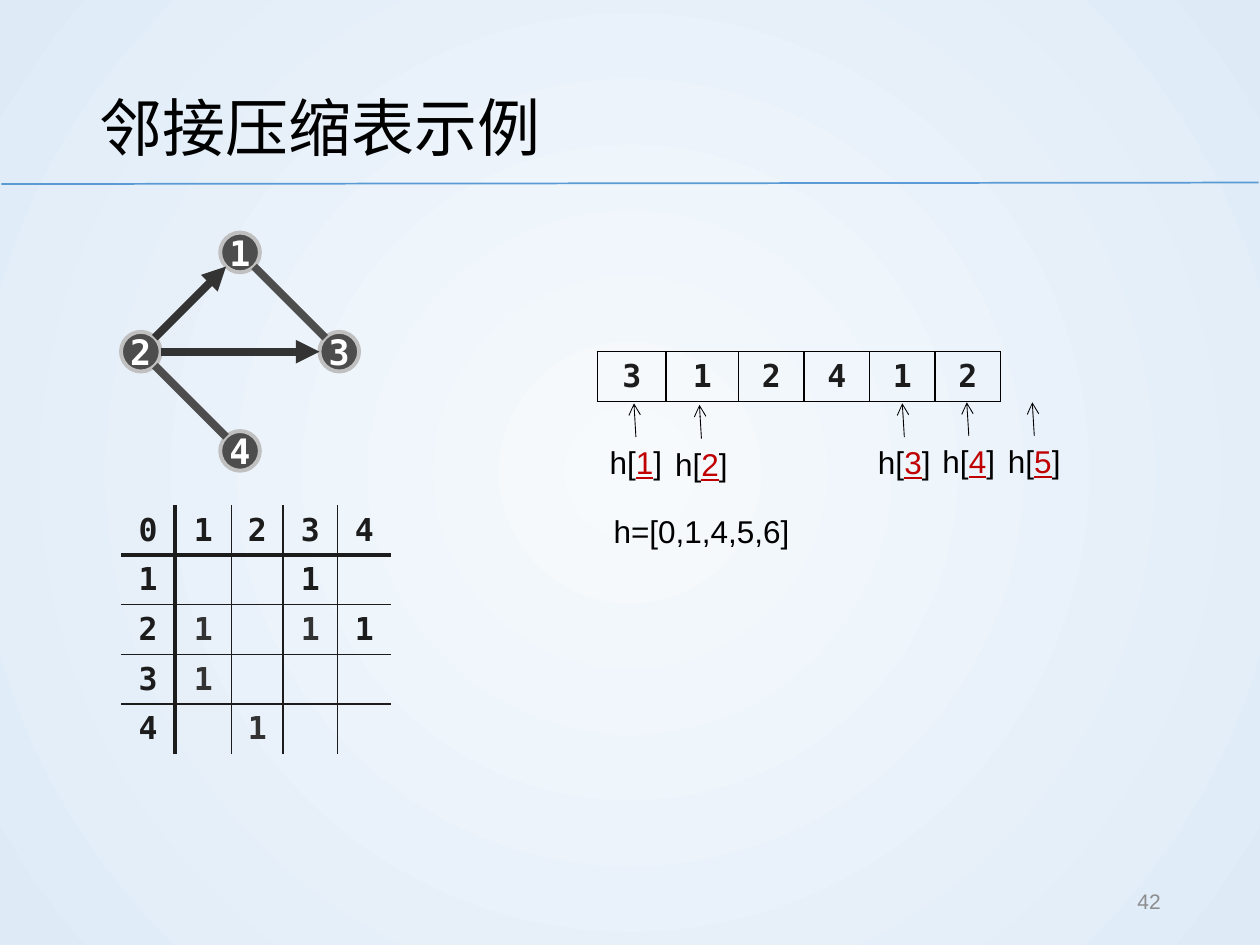
"""Build the slide that shows a graph, its adjacency matrix and its compressed list."""
from dataclasses import dataclass
from typing import Any, NamedTuple

from pptx import Presentation
from pptx import util as u
from pptx.dml.color import RGBColor
from pptx.enum import shapes, text
from pptx.oxml import ns, xmlchemy

BODY_FONT, MONO_FONT = "Arial", "DejaVu Sans Mono"
INK, BLACK, RED = "1C1C1C", "000000", "C00000"
NODE_SIZE, RADIUS = 0.8, 2.0
NO_GRID_STYLE = "{2D5ABB26-0587-4C30-8999-92F81FD0307C}"
MARGINS = ("margin_left", "margin_top", "margin_right", "margin_bottom")


class Point(NamedTuple):
    x: float
    y: float


@dataclass
class Edge:
    start: str
    end: str
    colour: str = "4D4D4D"
    arrow: str = ""


@dataclass
class Pointer:
    index: str
    left: float
    top: float


@dataclass
class Grid:
    left: float
    top: float
    columns: list[float]
    rows: list[str]
    colour: str
    framed: bool


CENTRE = Point(4.84, 7.09)
NODES = {
    "1": Point(CENTRE.x, CENTRE.y - RADIUS),
    "2": Point(CENTRE.x - RADIUS, CENTRE.y),
    "3": Point(CENTRE.x + RADIUS, CENTRE.y),
    "4": Point(CENTRE.x, CENTRE.y + RADIUS),
}
EDGES = [
    Edge("3", "1"),
    Edge("4", "2"),
    Edge("2", "3", "333333", "triangle"),
    Edge("2", "1", "333333", "triangle"),
]
MATRIX = Grid(2.44, 10.19, [1.09, 1.14, 1.04, 1.09, 1.09],
              ["01234", "1  1 ", "21 11", "31   ", "4 1  "], INK, False)
NEIGHBOURS = Grid(12.04, 7.09, [1.39, 1.46] + [1.32] * 4, ["312412"], BLACK, True)
GREY_CELLS = {(2, 1), (2, 3), (3, 1), (4, 2)}
POINTERS = [
    Pointer("1", 12.04, 8.81),
    Pointer("2", 13.36, 8.84),
    Pointer("3", 17.45, 8.81),
    Pointer("4", 18.75, 8.79),
    Pointer("5", 20.07, 8.79),
]


def rgb(value: str) -> RGBColor:
    """Turn a hex string into a colour."""
    return RGBColor.from_string(value)


def apply(target: Any, **formats: Any) -> None:
    """Set each format value on the target."""
    for name, value in formats.items():
        setattr(target, name, value)


def add_run(paragraph: Any, words: str, size: float, colour: str,
            font: str = BODY_FONT, **formats: Any) -> None:
    """Append formatted words to a paragraph."""
    run = paragraph.add_run()
    run.text = words
    apply(run.font, name=font, size=u.Pt(size), **formats)
    run.font.color.rgb = rgb(colour)


def add_element(parent: Any, tag: str, **attributes: str) -> Any:
    """Append a drawing element with attributes."""
    child = xmlchemy.OxmlElement(tag)
    for name, value in attributes.items():
        child.set(name, value)
    parent.append(child)
    return child


def add_line(canvas: Any, start: Point, end: Point, colour: str,
             width: float, arrow: str = "") -> None:
    """Draw a straight line, with an arrowhead at its end if one is named."""
    line = canvas.add_connector(shapes.MSO_CONNECTOR.STRAIGHT,
                                *(u.Cm(length) for length in (*start, *end)))
    line.line.color.rgb = rgb(colour)
    line.line.width = u.Pt(width)
    if arrow:
        add_element(line.line._get_or_add_ln(), "a:tailEnd", type=arrow)
    add_element(line._element.spPr, "a:effectLst")


def add_label(canvas: Any, left: float, top: float, width: float, **formats: Any) -> Any:
    """Add a text box one line high and return its paragraph."""
    frame = canvas.add_textbox(u.Cm(left), u.Cm(top), u.Cm(width), u.Cm(1.02)).text_frame
    apply(frame, **{"word_wrap": False, **formats})
    return frame.paragraphs[0]


def add_node(canvas: Any, name: str, centre: Point) -> None:
    """Draw a numbered graph node."""
    node = canvas.add_shape(
        shapes.MSO_SHAPE.OVAL, u.Cm(centre.x - NODE_SIZE / 2),
        u.Cm(centre.y - NODE_SIZE / 2), u.Cm(NODE_SIZE), u.Cm(NODE_SIZE))
    node.shadow.inherit = False
    node.fill.solid()
    node.fill.fore_color.rgb = rgb("4D4D4D")
    node.line.color.rgb = rgb("C0C0C0")
    node.line.width = u.Pt(2.25)
    apply(node.text_frame, word_wrap=False, vertical_anchor=text.MSO_ANCHOR.MIDDLE,
          **dict.fromkeys(MARGINS, u.Cm(0.1)))
    paragraph = node.text_frame.paragraphs[0]
    paragraph.alignment = text.PP_ALIGN.CENTER
    add_run(paragraph, name, 20, "FFFFFF", MONO_FONT, bold=True)


def add_edge(canvas: Any, edge: Edge) -> None:
    """Join the rims of two nodes."""
    start, end = NODES[edge.start], NODES[edge.end]
    dx, dy = end.x - start.x, end.y - start.y
    share = NODE_SIZE / 2 / (dx * dx + dy * dy) ** 0.5
    add_line(canvas, Point(start.x + dx * share, start.y + dy * share),
             Point(end.x - dx * share, end.y - dy * share), edge.colour, 4.5, edge.arrow)


def add_border(cell: Any, side: str, colour: str, width: float) -> None:
    """Draw one side of a table cell."""
    border = add_element(cell._tc.get_or_add_tcPr(), f"a:ln{side}", w=str(u.Pt(width)))
    add_element(add_element(border, "a:solidFill"), "a:srgbClr", val=colour)


def add_grid(canvas: Any, grid: Grid) -> None:
    """Draw a table of digits with ruled lines."""
    height, width = len(grid.rows), len(grid.columns)
    table = canvas.add_table(height, width, u.Cm(grid.left), u.Cm(grid.top),
                             u.Cm(sum(grid.columns)), u.Cm(height)).table
    apply(table, first_row=False, horz_banding=False)
    table._tbl.tblPr.find(ns.qn("a:tableStyleId")).text = NO_GRID_STYLE
    for column, size in zip(table.columns, grid.columns):
        column.width = u.Cm(size)
    for r, digits in enumerate(grid.rows):
        for c, digit in enumerate(digits):
            cell = table.cell(r, c)
            apply(cell, vertical_anchor=text.MSO_ANCHOR.MIDDLE, **dict.fromkeys(MARGINS, 0))
            sides = {"L": c, "R": width - 1 - c, "T": r, "B": height - 1 - r}
            heavy = {"L": c == 1, "R": c == 0, "T": r == 1, "B": r == 0}
            for side, inner in sides.items():
                if inner or grid.framed:
                    thick = heavy[side] and not grid.framed
                    add_border(cell, side, grid.colour, 2.25 if thick else 1)
            cell.fill.background()
            if digit.strip():
                paragraph = cell.text_frame.paragraphs[0]
                paragraph.alignment = text.PP_ALIGN.CENTER
                ink = "333333" if (r, c) in GREY_CELLS else INK
                add_run(paragraph, digit, 18, ink, MONO_FONT, bold=True)


def add_pointer(canvas: Any, pointer: Pointer) -> None:
    """Draw a grouped index label with an arrow above it."""
    group = canvas.add_group_shape().shapes
    label = add_label(group, pointer.left, pointer.top, 1.57)
    add_run(label, "h[", 18, BLACK)
    add_run(label, pointer.index, 18, RED, underline=True)
    add_run(label, "]", 18, BLACK)
    add_line(group, Point(pointer.left + 0.78, pointer.top),
             Point(pointer.left + 0.74, pointer.top - 0.68), BLACK, 0.5, "arrow")


def paint_background(slide: Any) -> None:
    """Fill the slide with a circular gradient."""
    fill = slide.background.fill
    fill.gradient()
    for stop, colour in zip(fill.gradient_stops, ("F7FAFD", "DEEBF7")):
        stop.color.rgb = rgb(colour)
    gradient = slide._element.find(".//" + ns.qn("a:gradFill"))
    gradient.remove(gradient.find(ns.qn("a:lin")))
    circle = add_element(gradient, "a:path", path="circle")
    add_element(circle, "a:fillToRect", **dict.fromkeys("ltrb", "50000"))


def main() -> None:
    """Assemble and save the slide."""
    deck = Presentation()
    apply(deck, slide_width=u.Cm(25.4), slide_height=u.Cm(19.05))
    slide = deck.slides.add_slide(deck.slide_layouts[5])
    canvas = slide.shapes
    paint_background(slide)
    add_line(canvas, Point(0.03, 3.71), Point(25.37, 3.68), "5B9BD5", 1)

    heading = canvas.title
    apply(heading, left=u.Cm(1.75), top=u.Cm(1.02), width=u.Cm(21.9), height=u.Cm(2.74))
    heading.text_frame.vertical_anchor = text.MSO_ANCHOR.MIDDLE
    title_line = heading.text_frame.paragraphs[0]
    apply(title_line, alignment=text.PP_ALIGN.LEFT, line_spacing=1.2)
    add_run(title_line, "邻接压缩表示例", 36, BLACK)

    page = add_label(canvas, 17.93, 17.65, 5.72, word_wrap=True,
                     vertical_anchor=text.MSO_ANCHOR.MIDDLE)
    page.alignment = text.PP_ALIGN.RIGHT
    add_run(page, "42", 12, "8C8C8C")

    for name, centre in NODES.items():
        add_node(canvas, name, centre)
    for edge in EDGES:
        add_edge(canvas, edge)
    for grid in (MATRIX, NEIGHBOURS):
        add_grid(canvas, grid)
    for pointer in POINTERS:
        add_pointer(canvas, pointer)
    add_run(add_label(canvas, 12.12, 10.19, 4.06), "h=[0,1,4,5,6]", 18, BLACK)
    deck.save("out.pptx")


if __name__ == "__main__":
    main()
